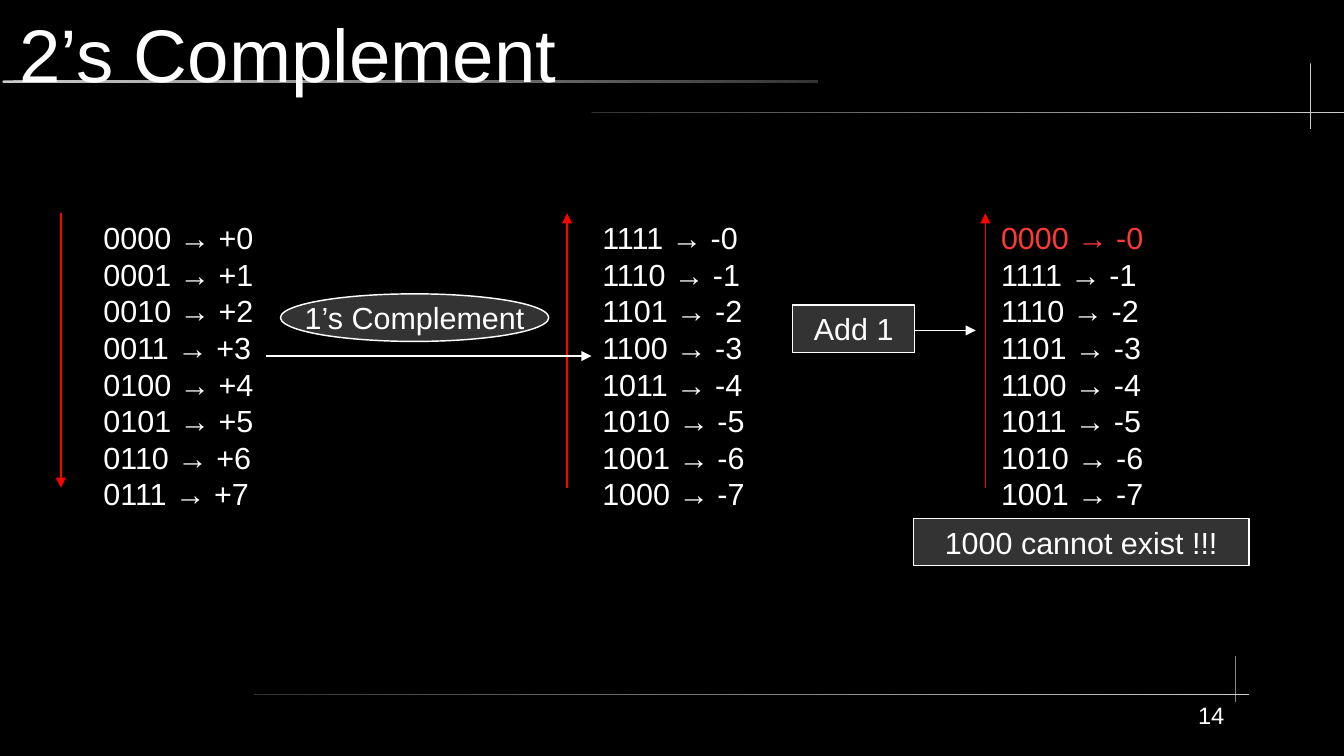
from dataclasses import dataclass

from lxml.etree import SubElement
from pptx import Presentation
from pptx.dml.color import RGBColor
from pptx.enum.shapes import MSO_CONNECTOR, MSO_SHAPE
from pptx.enum.text import MSO_ANCHOR, PP_ALIGN
from pptx.oxml.ns import qn
from pptx.util import Inches, Pt


@dataclass(frozen=True)
class Theme:
    font: str = "Arial"
    background: str = "000000"
    text: str = "FFFFFF"
    panel: str = "333333"
    rule: str = "CCCCCC"
    order: str = "FF0000"
    highlight: str = "FF3838"
    title_size: int = 44
    body_size: int = 18
    number_size: int = 14
    code_spacing: float = 21.6
    line_width: float = 0.85


def apply(target, values):
    for name, value in values.items():
        setattr(target, name, value)


class SlideBuilder:
    def __init__(self, page, theme):
        self.page = page
        self.theme = theme
        fill = page.background.fill
        fill.solid()
        fill.fore_color.rgb = RGBColor.from_string(theme.background)

    def fill_text(self, frame, lines, size, inset=(0, 0), colors=None,
                  align=PP_ALIGN.LEFT, anchor=MSO_ANCHOR.TOP, wrap=True, spacing=None):
        side, top = (Inches(value) for value in inset)
        apply(frame, {"margin_left": side, "margin_right": side,
                      "margin_top": top, "margin_bottom": top,
                      "vertical_anchor": anchor, "word_wrap": wrap})
        for index, line in enumerate(lines):
            para = frame.paragraphs[0] if index == 0 else frame.add_paragraph()
            apply(para, {"alignment": align, "line_spacing": spacing})
            span = para.add_run()
            span.text = line
            apply(span.font, {"name": self.theme.font, "size": Pt(size)})
            color = (colors or {}).get(index, self.theme.text)
            span.font.color.rgb = RGBColor.from_string(color)

    def text(self, area, lines, size, **style):
        box = self.page.shapes.add_textbox(*map(Inches, area))
        self.fill_text(box.text_frame, lines, size, **style)

    def shape(self, kind, area):
        box = self.page.shapes.add_shape(kind, *map(Inches, area))
        box.shadow.inherit = False
        return box

    def rule(self, area, colors):
        bar = self.shape(MSO_SHAPE.ROUNDED_RECTANGLE, area)
        bar.adjustments[0] = 0.5
        bar.line.fill.background()
        bar.fill.gradient()
        bar.fill.gradient_angle = 0
        for stop, color in zip(bar.fill.gradient_stops, colors):
            stop.color.rgb = RGBColor.from_string(color)

    def label(self, kind, area, caption):
        box = self.shape(kind, area)
        box.fill.solid()
        box.fill.fore_color.rgb = RGBColor.from_string(self.theme.panel)
        box.line.color.rgb = RGBColor.from_string(self.theme.text)
        box.line.width = Pt(self.theme.line_width)
        self.fill_text(box.text_frame, [caption], self.theme.body_size, inset=(0.1, 0.05),
                       align=PP_ALIGN.CENTER, anchor=MSO_ANCHOR.MIDDLE, wrap=False)

    def arrow(self, start, end, color):
        link = self.page.shapes.add_connector(
            MSO_CONNECTOR.STRAIGHT, *map(Inches, (*start, *end)))
        link.line.color.rgb = RGBColor.from_string(color)
        link.line.width = Pt(self.theme.line_width)
        SubElement(link.get_or_add_ln(), qn("a:tailEnd"), type="triangle")
        SubElement(link.element.spPr, qn("a:effectLst"))

    def codes(self, left, lines, colors=None):
        self.text((left, 1.75, 1.6, 2.34), lines, self.theme.body_size,
                  inset=(0.1, 0.05), colors=colors,
                  spacing=Pt(self.theme.code_spacing))


def main():
    deck = Presentation()
    apply(deck, {"slide_width": Inches(11.02), "slide_height": Inches(6.2)})
    theme = Theme()
    page = deck.slides.add_slide(deck.slide_layouts[6])
    builder = SlideBuilder(page, theme)

    # Decorative rules
    fade_in = (theme.panel, theme.rule)
    fade_out = (theme.rule, theme.panel)
    solid = (theme.rule, theme.rule)
    for area, colors in (
        ((0.02, 0.66, 6.69, 0.02), fade_out),
        ((4.85, 0.92, 6.17, 0.01), fade_in),
        ((10.74, 0.52, 0.01, 0.54), solid),
        ((2.08, 5.69, 8.16, 0.01), fade_in),
        ((10.13, 5.38, 0.01, 0.38), solid),
    ):
        builder.rule(area, colors)

    # Title
    builder.text((0.16, 0.08, 10.43, 0.71), ["2’s Complement"],
                 theme.title_size, anchor=MSO_ANCHOR.MIDDLE)

    # Four-bit codes: positive, inverted, inverted plus one
    numbers = range(8)
    builder.codes(0.75, [f"{n:04b} → +{n}" for n in numbers])
    builder.codes(4.84, [f"{15 - n:04b} → -{n}" for n in numbers])
    builder.codes(8.11, [f"{(16 - n) % 16:04b} → -{n}" for n in numbers],
                  colors={0: theme.highlight})

    # Counting direction beside each column
    top, bottom = 1.75, 4
    for x, start, end in ((0.5, top, bottom), (4.65, bottom, top), (8.08, bottom, top)):
        builder.arrow((x, start), (x, end), theme.order)

    # Steps between the columns
    builder.arrow((2.18, 2.92), (4.85, 2.92), theme.text)
    builder.arrow((7.5, 2.71), (8, 2.71), theme.text)
    builder.label(MSO_SHAPE.OVAL, (2.3, 2.41, 2.2, 0.39), "1’s Complement")
    builder.label(MSO_SHAPE.RECTANGLE, (6.5, 2.5, 1, 0.39), "Add 1")
    builder.label(MSO_SHAPE.RECTANGLE, (7.49, 4.25, 2.75, 0.39), "1000 cannot exist !!!")

    # Page number
    builder.text((8.27, 5.75, 1.77, 0.45), ["14"], theme.number_size,
                 align=PP_ALIGN.RIGHT)

    deck.save("out.pptx")


if __name__ == "__main__":
    main()
